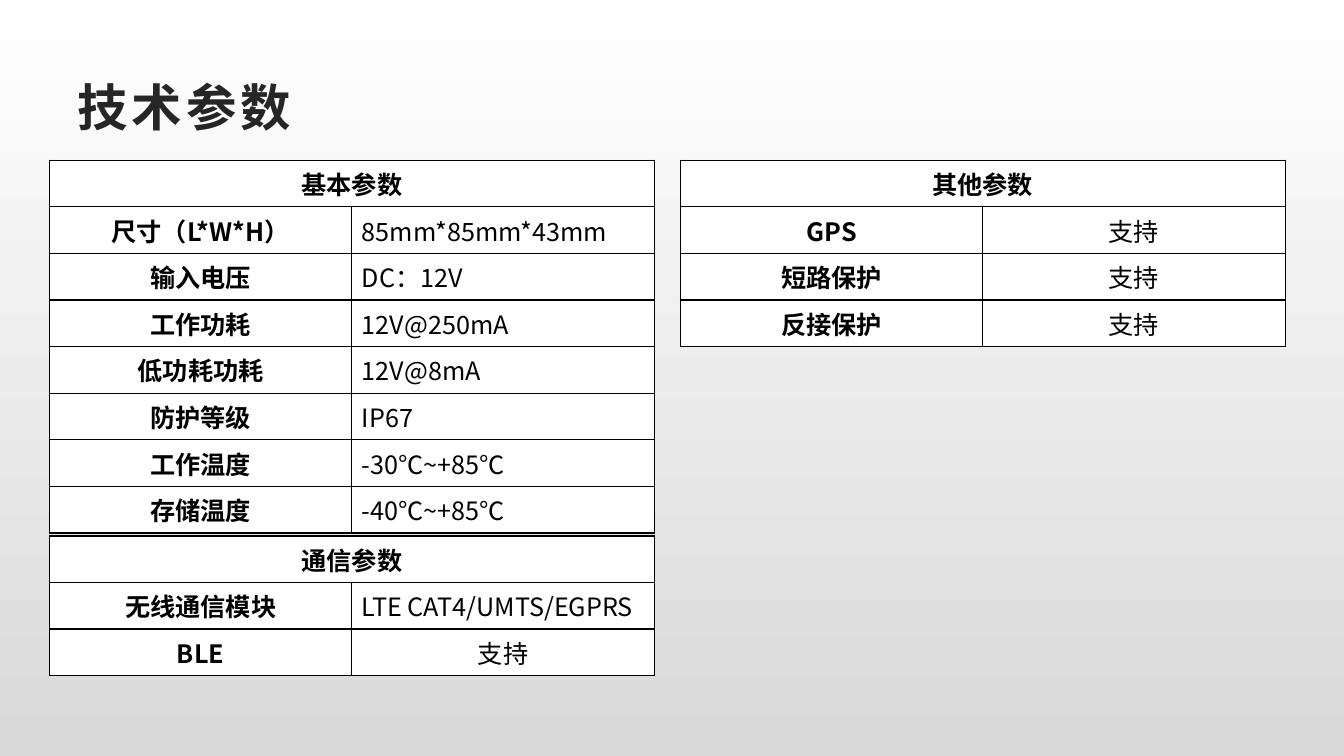
from dataclasses import dataclass

from lxml.etree import SubElement
from pptx import Presentation
from pptx.dml.color import RGBColor
from pptx.enum.text import MSO_ANCHOR as Anchor, MSO_AUTO_SIZE as AutoSize, PP_ALIGN as Align
from pptx.oxml.ns import qn
from pptx.slide import Slide
from pptx.table import _Cell as Cell
from pptx.util import Length, Pt


@dataclass(frozen=True)
class Theme:
    ink: str = "000000"
    title_ink: str = "262626"
    paper: str = "FFFFFF"
    page_bottom: str = "D9D9D9"
    latin_title: str = "Arial"
    sans: str = "Noto Sans CJK SC"
    title_size: Length = Pt(36)
    cell_size: Length = Pt(18)
    title_spacing: Length = Pt(3)
    border: Length = Pt(1)


@dataclass(frozen=True)
class ParameterTable:
    heading: str
    left: Length
    top: Length
    rows: tuple[tuple[str, str], ...]


THEME = Theme()
SUPPORTED = "支持"
ROW_HEIGHT = Pt(33.3)
COLUMN_WIDTH = Pt(216)
LEFT_COLUMN, RIGHT_COLUMN = Pt(35.3), Pt(486)
FIRST_ROW, SECOND_ROW = Pt(114.5), Pt(382.8)

TABLES = (
    ParameterTable("基本参数", LEFT_COLUMN, FIRST_ROW, (
        ("尺寸（L*W*H）", "85mm*85mm*43mm"),
        ("输入电压", "DC：12V"),
        ("工作功耗", "12V@250mA"),
        ("低功耗功耗", "12V@8mA"),
        ("防护等级", "IP67"),
        ("工作温度", "-30℃~+85℃"),
        ("存储温度", "-40℃~+85℃"),
    )),
    ParameterTable("通信参数", LEFT_COLUMN, SECOND_ROW, (
        ("无线通信模块", "LTE CAT4/UMTS/EGPRS"),
        ("BLE", SUPPORTED),
    )),
    ParameterTable("其他参数", RIGHT_COLUMN, FIRST_ROW, (
        ("GPS", SUPPORTED),
        ("短路保护", SUPPORTED),
        ("反接保护", SUPPORTED),
    )),
)


def set_all(target: object, values: dict[str, object]) -> None:
    for name, value in values.items():
        setattr(target, name, value)


def add_span(para, text: str, color: str, **font_format):
    span = para.add_run()
    span.text = text
    set_all(span.font, font_format)
    span.font.color.rgb = RGBColor.from_string(color)
    SubElement(span.font._element, qn("a:ea"), typeface=THEME.sans)
    return span


def format_cell(cell: Cell) -> None:
    properties = cell._tc.get_or_add_tcPr()
    for side in ("lnL", "lnR", "lnT", "lnB"):
        line = SubElement(properties, qn(f"a:{side}"), w=str(THEME.border))
        fill = SubElement(line, qn("a:solidFill"))
        SubElement(fill, qn("a:srgbClr"), val=THEME.ink)
    cell.fill.solid()
    cell.fill.fore_color.rgb = RGBColor.from_string(THEME.paper)


def write_cell(cell: Cell, text: str, bold: bool, align: Align) -> None:
    para = cell.text_frame.paragraphs[0]
    para.alignment = align
    add_span(para, text, THEME.ink, name=THEME.sans, size=THEME.cell_size, bold=bold)


def add_parameters(page: Slide, content: ParameterTable) -> None:
    row_count = len(content.rows) + 1
    table = page.shapes.add_table(
        row_count, 2, content.left, content.top, 2 * COLUMN_WIDTH, row_count * ROW_HEIGHT
    ).table
    for cell in table.iter_cells():
        format_cell(cell)
    table.cell(0, 0).merge(table.cell(0, 1))
    write_cell(table.cell(0, 0), content.heading, True, Align.CENTER)
    for row, (label, value) in enumerate(content.rows, start=1):
        write_cell(table.cell(row, 0), label, True, Align.CENTER)
        value_align = Align.CENTER if value == SUPPORTED else Align.LEFT
        write_cell(table.cell(row, 1), value, False, value_align)


def add_title(page: Slide, text: str) -> None:
    title = page.shapes.title
    set_all(title, {"left": Pt(48), "top": Pt(48.2), "width": Pt(864), "height": Pt(55.4)})
    box = title.text_frame
    set_all(box, {
        "vertical_anchor": Anchor.MIDDLE, "auto_size": AutoSize.NONE, "word_wrap": True,
        "margin_left": Pt(7.2), "margin_right": Pt(7.2),
        "margin_top": Pt(3.6), "margin_bottom": Pt(3.6),
    })
    para = box.paragraphs[0]
    para.alignment = Align.LEFT
    span = add_span(para, text, THEME.title_ink, name=THEME.latin_title,
                    size=THEME.title_size, bold=True)
    span.font._element.set("spc", str(round(THEME.title_spacing.pt * 100)))


def paint_background(page: Slide) -> None:
    fill = page.background.fill
    fill.gradient()
    fill.gradient_angle = 270
    for stop, position, color in zip(fill.gradient_stops, (0, 1), (THEME.paper, THEME.page_bottom)):
        stop.position = position
        stop.color.rgb = RGBColor.from_string(color)


def main() -> None:
    deck = Presentation()
    set_all(deck, {"slide_width": Pt(960), "slide_height": Pt(540)})
    page = deck.slides.add_slide(deck.slide_layouts.get_by_name("Title Only"))
    paint_background(page)
    add_title(page, "技术参数")
    for content in TABLES:
        add_parameters(page, content)
    deck.save("out.pptx")


if __name__ == "__main__":
    main()
